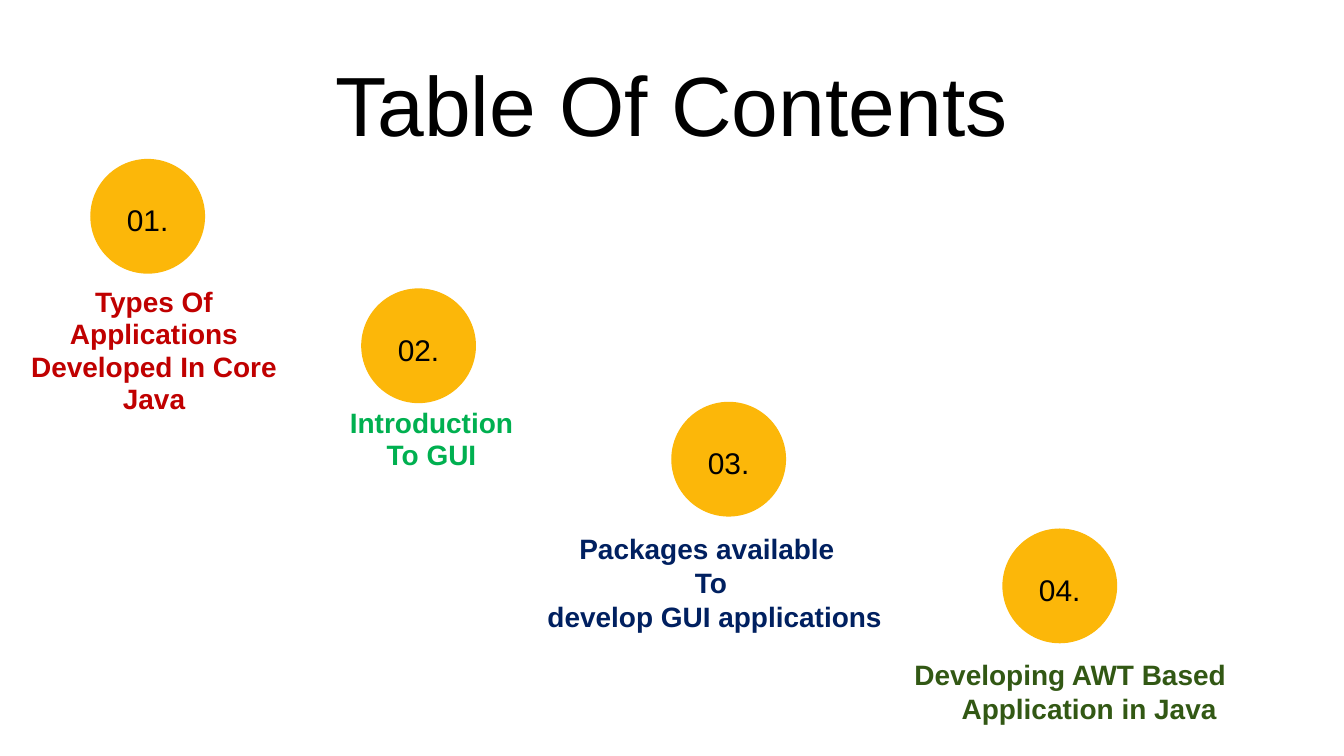
from dataclasses import dataclass

from lxml import etree
from pptx import Presentation
from pptx import util as u
from pptx.dml.color import RGBColor
from pptx.enum import shapes, text
from pptx.oxml import ns

PX = u.Inches(1) // 96
FONT = "Arial"
DISC = 162
INKS = {
    "black": "000000",
    "gold": "FCB709",
    "red": "C00000",
    "green": "00B050",
    "navy": "002060",
    "olive": "325814",
}


@dataclass
class Topic:
    disc: tuple[int, int]
    box: tuple[int, int, int, int]
    lines: list[str]
    ink: str
    left: int  # paragraph margin
    hang: int  # first-line indent
    gap: float  # line spacing


TOPICS = [
    Topic((130, 228), (-10, 405, 440, 196),
          ["Types Of Applications Developed In Core Java"], "red", 20, 0, 0.96),
    Topic((517, 413), (465, 577, 283, 103),
          ["Introduction To GUI"], "green", 20, 0, 0.96),
    Topic((960, 575), (702, 755, 598, 156),
          ["Packages available ", "To", " develop GUI applications"],
          "navy", 83, -54, 1.0),
    Topic((1433, 756), (1251, 935, 527, 107),
          ["Developing AWT Based Application in Java"], "olive", 83, -54, 1.0),
]


def color(ink: str) -> RGBColor:
    return RGBColor.from_string(INKS[ink])


def place(shape, box: tuple[int, int, int, int]) -> None:
    shape.left, shape.top, shape.width, shape.height = (n * PX for n in box)


def style(frame, size: int, ink: str, gap: float, bold: bool = False) -> None:
    frame.word_wrap = True
    for para in frame.paragraphs:
        para.alignment = text.PP_ALIGN.CENTER
        para.line_spacing = gap
        para.space_before = u.Pt(0)
        for run in para.runs:
            run.font.name = FONT
            run.font.size = u.Pt(size)
            run.font.bold = bold
            run.font.color.rgb = color(ink)


def inset(frame, side: int) -> None:
    frame.margin_left = frame.margin_right = side * PX
    frame.margin_top = frame.margin_bottom = side * PX


def add_title(slide, words: str) -> None:
    title = slide.shapes.title
    place(title, (93, 46, 1733, 145))
    frame = title.text_frame
    frame.text = words
    frame.vertical_anchor = text.MSO_ANCHOR.TOP
    frame.auto_size = text.MSO_AUTO_SIZE.SHAPE_TO_FIT_TEXT
    inset(frame, 0)
    style(frame, 90, "black", 1.2)


def add_disc(slide, topic: Topic, num: int) -> None:
    disc = slide.shapes.add_shape(
        shapes.MSO_SHAPE.OVAL, *(n * PX for n in (*topic.disc, DISC, DISC)))
    disc.shadow.inherit = False
    disc.fill.solid()
    disc.fill.fore_color.rgb = color("gold")
    disc.line.color.rgb = color("gold")
    disc.line.width = u.Pt(1.5)
    frame = disc.text_frame
    frame.text = f"{num:02}."
    frame.vertical_anchor = text.MSO_ANCHOR.MIDDLE
    inset(frame, 6)
    style(frame, 32, "black", 1.2)


def fill_body(body, topic: Topic) -> None:
    place(body, topic.box)
    frame = body.text_frame
    frame.text = "\n".join(topic.lines)
    frame.vertical_anchor = text.MSO_ANCHOR.TOP
    frame.auto_size = text.MSO_AUTO_SIZE.SHAPE_TO_FIT_TEXT
    style(frame, 30, topic.ink, topic.gap, bold=True)
    # Indents without bullets
    for para in frame.paragraphs:
        props = para._p.get_or_add_pPr()
        props.set("marL", str(topic.left * PX))
        props.set("indent", str(topic.hang * PX))
        etree.SubElement(props, ns.qn("a:buNone"))


def main() -> None:
    deck = Presentation()
    deck.slide_width, deck.slide_height = 1920 * PX, 1080 * PX
    # The comparison layout has a title and four bodies
    slide = deck.slides.add_slide(deck.slide_layouts[4])
    add_title(slide, "Table Of Contents")
    bodies = list(slide.placeholders)[1:]
    for num, (topic, body) in enumerate(zip(TOPICS, bodies), 1):
        add_disc(slide, topic, num)
        fill_body(body, topic)
    deck.save("out.pptx")


if __name__ == "__main__":
    main()
